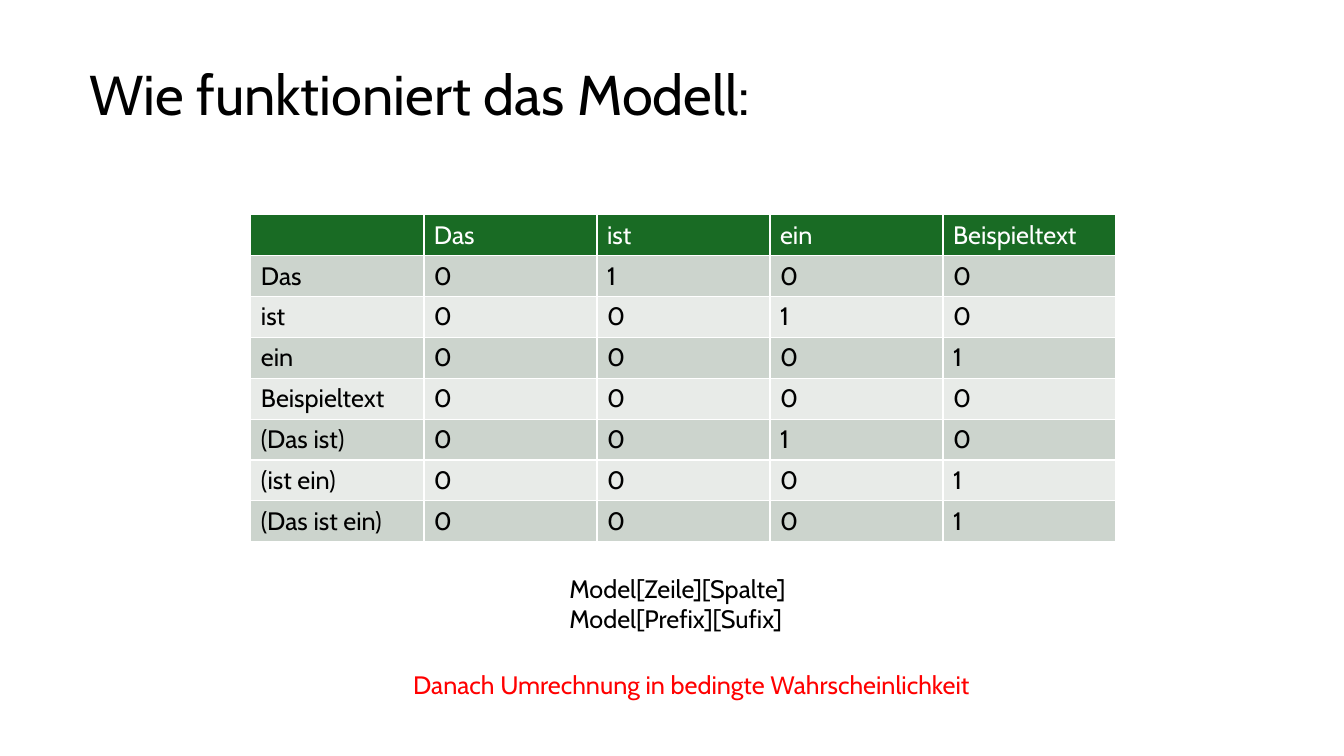
"""Build the slide that explains the word transition table of the model."""
from dataclasses import dataclass

from pptx import Presentation
from pptx.dml.color import RGBColor
from pptx.enum import text
from pptx.slide import Slide
from pptx.text.text import TextFrame
from pptx.util import Pt

BLACK = RGBColor(0x00, 0x00, 0x00)
WHITE = RGBColor(0xFF, 0xFF, 0xFF)
RED = RGBColor(0xFF, 0x00, 0x00)
HEADER_GREEN = RGBColor(0x19, 0x6B, 0x24)
DARK_BAND = RGBColor(0xCC, 0xD4, 0xCD)
LIGHT_BAND = RGBColor(0xE8, 0xEB, 0xE8)

COLUMN_WIDTH = 123.6
ROW_HEIGHT = 29.2
SUFFIXES = ["Das", "ist", "ein", "Beispieltext"]
NEXT_WORDS = {
    "Das": "ist",
    "ist": "ein",
    "ein": "Beispieltext",
    "Beispieltext": "",
    "(Das ist)": "ein",
    "(ist ein)": "Beispieltext",
    "(Das ist ein)": "Beispieltext",
}


@dataclass(frozen=True)
class Note:
    left: float
    top: float
    width: float
    height: float
    lines: tuple[str, ...]
    color: RGBColor


NOTES = [
    Note(399.6, 406, 175.7, 51, ("Model[Zeile][Spalte]", "Model[Prefix][Sufix]"), BLACK),
    Note(288, 474.5, 425.5, 29, ("Danach Umrechnung in bedingte Wahrscheinlichkeit",), RED),
]


def format_text(frame: TextFrame, color: RGBColor, size: float = 18) -> None:
    values = {"name": "Cabin", "size": Pt(size), "bold": False}
    for paragraph in frame.paragraphs:
        for run in paragraph.runs:
            for name, value in values.items():
                setattr(run.font, name, value)
            run.font.color.rgb = color


def add_title(slide: Slide) -> None:
    title = slide.shapes.title
    place = {"left": Pt(56.9), "top": Pt(40.3), "width": Pt(747.4), "height": Pt(58.3)}
    for name, value in place.items():
        setattr(title, name, value)
    frame = title.text_frame
    frame.text = "Wie funktioniert das Modell:"
    frame.auto_size = text.MSO_AUTO_SIZE.NONE
    frame.vertical_anchor = text.MSO_ANCHOR.MIDDLE
    paragraph = frame.paragraphs[0]
    paragraph.alignment = text.PP_ALIGN.LEFT
    paragraph.line_spacing = 0.9
    format_text(frame, BLACK, 40)


def add_transition_table(slide: Slide) -> None:
    rows = [["", *SUFFIXES]]
    for prefix, next_word in NEXT_WORDS.items():
        rows.append([prefix, *(str(int(suffix == next_word)) for suffix in SUFFIXES)])
    row_count, column_count = len(rows), len(rows[0])
    table = slide.shapes.add_table(
        row_count, column_count, Pt(179.2), Pt(153.4),
        Pt(COLUMN_WIDTH * column_count), Pt(ROW_HEIGHT * row_count),
    ).table
    for column in table.columns:
        column.width = Pt(COLUMN_WIDTH)
    for row_index, words in enumerate(rows):
        table.rows[row_index].height = Pt(ROW_HEIGHT)
        band = DARK_BAND if row_index % 2 else LIGHT_BAND
        fill_color, text_color = (band, BLACK) if row_index else (HEADER_GREEN, WHITE)
        for column_index, word in enumerate(words):
            cell = table.cell(row_index, column_index)
            cell.fill.solid()
            cell.fill.fore_color.rgb = fill_color
            cell.text = word
            format_text(cell.text_frame, text_color)


def add_note(slide: Slide, note: Note) -> None:
    shape = slide.shapes.add_textbox(
        Pt(note.left), Pt(note.top), Pt(note.width), Pt(note.height)
    )
    frame = shape.text_frame
    frame.text = "\n".join(note.lines)
    frame.word_wrap = False
    frame.auto_size = text.MSO_AUTO_SIZE.SHAPE_TO_FIT_TEXT
    format_text(frame, note.color)


def main() -> None:
    presentation = Presentation()
    presentation.slide_width, presentation.slide_height = Pt(960), Pt(540)
    slide = presentation.slides.add_slide(presentation.slide_layouts[5])
    add_transition_table(slide)
    for note in NOTES:
        add_note(slide, note)
    add_title(slide)
    presentation.save("out.pptx")


if __name__ == "__main__":
    main()
